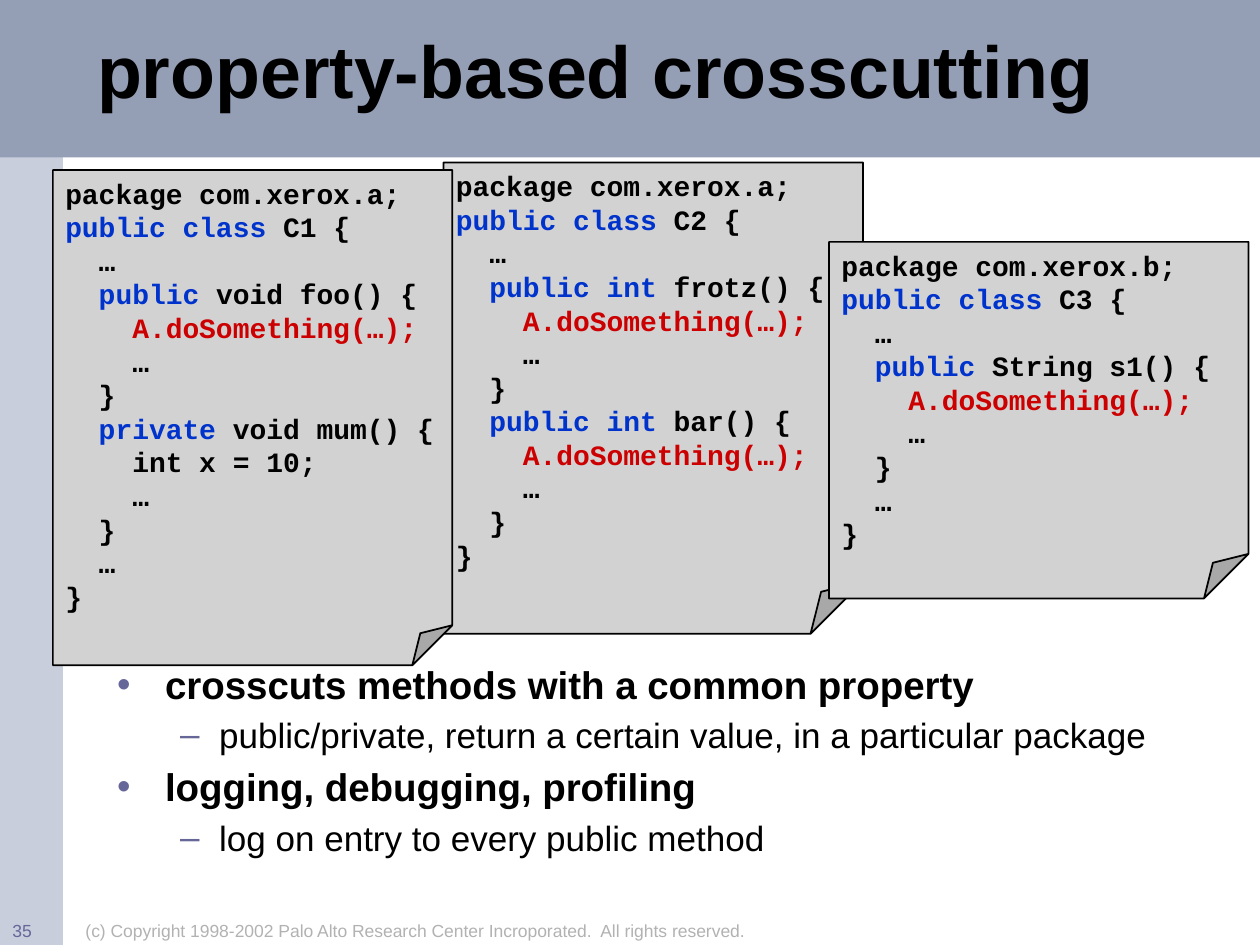
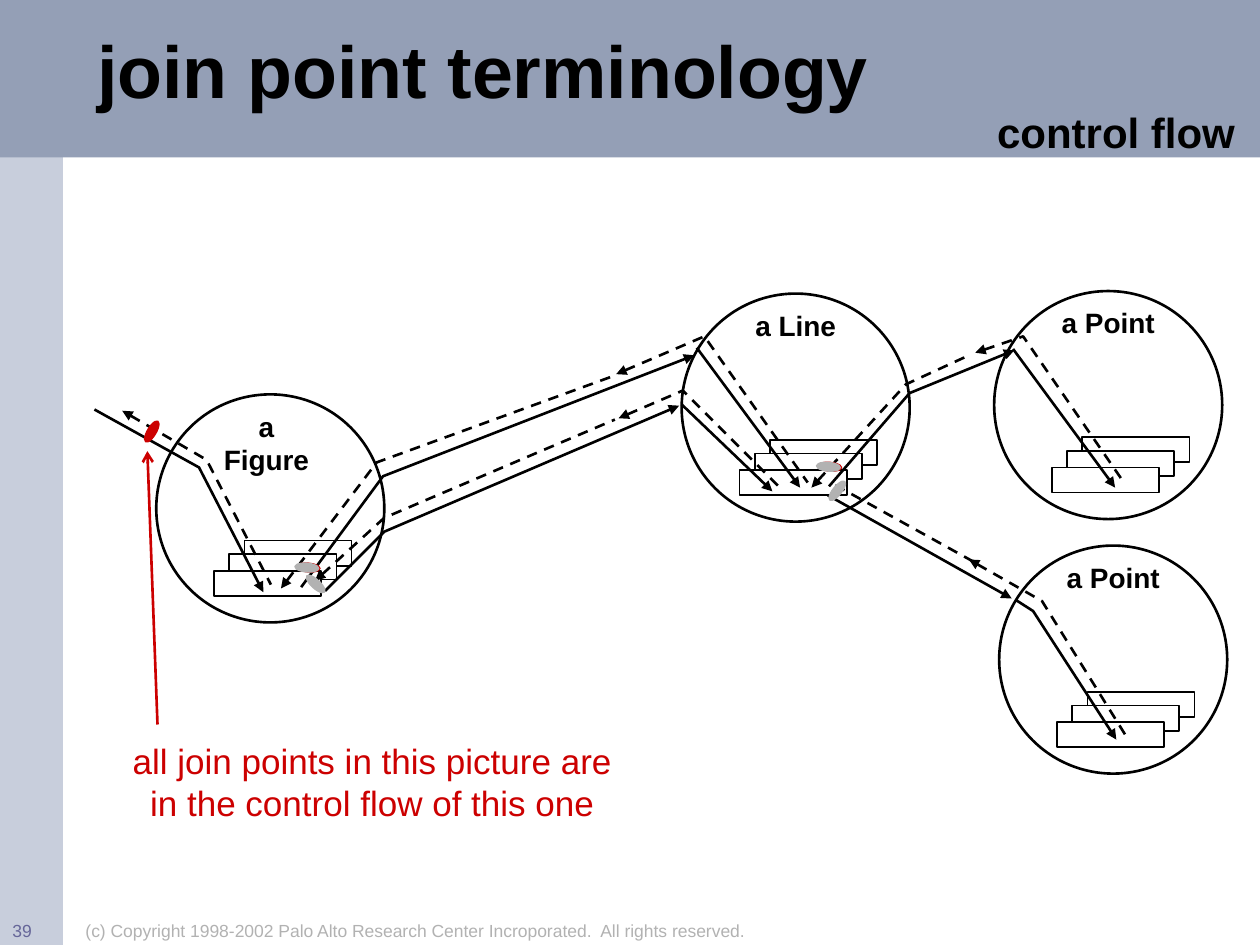
from lxml import etree
from pptx import Presentation
from pptx import util as u
from pptx.dml.color import RGBColor
from pptx.enum import dml, shapes, text
from pptx.oxml import ns

PX = 9144
BLACK = RGBColor(0x00, 0x00, 0x00)
WHITE = RGBColor(0xFF, 0xFF, 0xFF)
SIDE_BAND = RGBColor(0xC8, 0xCE, 0xDC)
TOP_BAND = RGBColor(0x94, 0x9F, 0xB6)
ACCENT = RGBColor(0x66, 0x66, 0x99)
MUTED = RGBColor(0xB2, 0xB2, 0xB2)
PAPER = RGBColor(0xD2, 0xD2, 0xD2)
BLUE = RGBColor(0x00, 0x33, 0xCC)
RED = RGBColor(0xCC, 0x00, 0x00)

COPYRIGHT = "(c) Copyright 1998-2002 Palo Alto Research Center Incroporated.  All rights reserved."
KEYWORDS = ("public class", "public int", "public", "private")
ADVICE_CALL = "A.doSomething(…);"
LEFT, CENTER, RIGHT = text.PP_ALIGN.LEFT, text.PP_ALIGN.CENTER, text.PP_ALIGN.RIGHT
RECT, OVAL = shapes.MSO_SHAPE.RECTANGLE, shapes.MSO_SHAPE.OVAL

CLASS_C1 = """package com.xerox.a;
public class C1 {
  …
  public void foo() {
    A.doSomething(…);
    …
  }
  private void mum() {
    int x = 10;
    …
  }
  …
}"""
CLASS_C2 = """package com.xerox.a;
public class C2 {
  …
  public int frotz() {
    A.doSomething(…);
    …
  }
  public int bar() {
    A.doSomething(…);
    …
  }
}"""
CLASS_C3 = """package com.xerox.b;
public class C3 {
  …
  public String s1() {
    A.doSomething(…);
    …
  }
  …
}"""
PROPERTIES = [
    (0, "crosscuts methods with a common property"),
    (1, "public/private, return a certain value, in a particular package"),
    (0, "logging, debugging, profiling"),
    (1, "log on entry to every public method"),
]

OBJECTS = [
    ("a Line", 541, 233, 99, 37),
    ("a Figure", 124, 313, 93, 64),
    ("a Point", 793, 433, 99, 37),
    ("a Point", 789, 231, 99, 37),
]
CALLS = [
    [(75, 325), (158, 371), (209, 470)],
    [(553, 276), (635, 387)],
    [(239, 466), (304, 378), (551, 282)],
    [(804, 277), (885, 387)],
    [(658, 386), (722, 312), (805, 278)],
    [(806, 476), (820, 485), (886, 587)],
    [(657, 393), (803, 475)],
    [(541, 321), (613, 390)],
    [(258, 469), (305, 422), (539, 322)],
]
RETURNS = [
    [(97, 326), (164, 365), (215, 464)],
    [(223, 467), (299, 367), (488, 298)],
    [(774, 280), (812, 267), (892, 383)],
    [(644, 387), (719, 305), (769, 282)],
    [(489, 297), (559, 267), (641, 383)],
    [(769, 444), (827, 477), (893, 583)],
    [(491, 332), (542, 310), (618, 386)],
    [(250, 461), (305, 411), (488, 333)],
]
RETURN_TAIL = [(663, 385), (773, 446)]
JOIN_POINTS = [
    (241, 441, 94.6, RED),
    (655, 361, 94.6, RED),
    (117, 333, 30.7, RED),
    (654, 361, 94.6, MUTED),
    (240, 441, 94.6, MUTED),
    (661, 380, 38.9, MUTED),
    (247, 454, 132.7, MUTED),
]


def px(*lengths):
    return [u.Emu(length * PX) for length in lengths]


def style(para, size, color=BLACK, bold=False, font="Arial"):
    for span in para.runs:
        span.font.name, span.font.size = font, u.Pt(size)
        span.font.bold, span.font.color.rgb = bold, color


def write(box, words, size, color=BLACK, bold=False, align=LEFT):
    frame = box.text_frame
    frame.word_wrap = True
    frame.vertical_anchor = text.MSO_ANCHOR.TOP
    frame.text = words
    para = frame.paragraphs[0]
    para.alignment = align
    style(para, size, color, bold)


def add_label(owner, area, words, size, **look):
    write(owner.add_textbox(*px(*area)), words, size, **look)


def add_block(owner, kind, area, fill=None, line=None, width=1):
    block = owner.add_shape(kind, *px(*area))
    block.shadow.inherit = False
    paint(block, fill, line, width)
    return block


def paint(block, fill, line, width):
    if fill is None:
        block.fill.background()
    else:
        block.fill.solid()
        block.fill.fore_color.rgb = fill
    if line is None:
        block.line.fill.background()
    else:
        block.line.color.rgb = line
        block.line.width = u.Pt(width)


def add_arrowhead(item, end, kind):
    outline = item.line._get_or_add_ln()
    etree.SubElement(outline, ns.qn(f"a:{end}"), type=kind)


def add_bands(deck, page):
    areas = [((0, 0, 50, 750), SIDE_BAND), ((0, 0, 1000, 125), TOP_BAND)]
    for index, (area, color) in enumerate(areas):
        band = add_block(page.shapes, RECT, area, color)
        band.element.nvSpPr.cNvPr.id = 100 + index
        deck.slide_master.shapes.element.insert(2 + index, band.element)


def add_page(deck, layout, heading, number):
    page = deck.slides.add_slide(deck.slide_layouts[layout])
    title = page.shapes.title
    title.left, title.top, title.width, title.height = px(67, 8, 833, 105)
    write(title, heading, 42, bold=True)
    title.text_frame.vertical_anchor = text.MSO_ANCHOR.MIDDLE
    title.text_frame.auto_size = text.MSO_AUTO_SIZE.NONE
    title.text_frame.paragraphs[0].line_spacing = 0.85
    add_label(page.shapes, (58, 725, 558, 25), COPYRIGHT, 10, color=MUTED)
    add_label(page.shapes, (0, 725, 50, 25), number, 10, color=ACCENT)
    return page


def set_bullet(para, mark, left, hang):
    props = para._p.get_or_add_pPr()
    props.set("marL", str(left * PX))
    props.set("indent", str(-hang * PX))
    color = etree.SubElement(props, ns.qn("a:buClr"))
    etree.SubElement(color, ns.qn("a:srgbClr"), val=str(ACCENT))
    etree.SubElement(props, ns.qn("a:buFont"), typeface="Arial")
    etree.SubElement(props, ns.qn("a:buChar"), char=mark)


def fill_list(body, area, items):
    body.left, body.top, body.width, body.height = px(*area)
    frame = body.text_frame
    frame.text = "\n".join(words for _, words in items)
    frame.auto_size = text.MSO_AUTO_SIZE.NONE
    looks = [("•", 38, 38, 22, True, 8.2), ("–", 81, 31, 20, False, 7.5)]
    for index, (para, (level, _)) in enumerate(zip(frame.paragraphs, items)):
        mark, left, hang, size, bold, gap = looks[level]
        para.level = level
        set_bullet(para, mark, left, hang)
        para.line_spacing = 0.85
        para.space_before = u.Pt(gap if index else 0)
        style(para, size, bold=bold)


def add_code_line(para, code):
    bare = code.lstrip()
    word = next((key for key in KEYWORDS if bare.startswith(key)), "")
    cut = len(code) - len(bare) + len(word) if word else 0
    for part in filter(None, (code[:cut], code[cut:])):
        para.add_run().text = part
    style(para, 16, RED if bare == ADVICE_CALL else BLACK, True, "Courier New")
    if word:
        para.runs[0].font.color.rgb = BLUE


def set_fold(note, fold):
    guides = next(note.element.iter(ns.qn("a:avLst")))
    etree.SubElement(guides, ns.qn("a:gd"), name="adj", fmla=f"val {round(fold * 100000)}")


def add_code_note(page, area, fold, source):
    note = add_block(page.shapes, shapes.MSO_SHAPE.FOLDED_CORNER, area, PAPER, BLACK)
    set_fold(note, fold)
    frame = note.text_frame
    frame.word_wrap = True
    frame.vertical_anchor = text.MSO_ANCHOR.TOP
    for index, code in enumerate(source.split("\n")):
        para = frame.add_paragraph() if index else frame.paragraphs[0]
        para.alignment = LEFT
        add_code_line(para, code)


def add_object(page, name, left, top, width, height):
    group = page.shapes.add_group_shape().shapes
    for dx, dy in ((70, 116), (58, 127), (46, 140)):
        add_block(group, RECT, (left + dx, top + dy, 85, 20), WHITE, BLACK)
    add_block(group, OVAL, (left, top, 181, 181), None, BLACK, 1.5)
    add_label(group, (left + 41, top + 7, width, height), name, 16, bold=True, align=CENTER)


def add_flow(page, points, end=None, dashed=False):
    builder = page.shapes.build_freeform(*points[0], scale=PX)
    builder.add_line_segments(points[1:], close=False)
    flow = builder.convert_to_shape()
    flow.shadow.inherit = False
    paint(flow, None, BLACK, 1.5)
    if dashed:
        flow.line.dash_style = dml.MSO_LINE.DASH
    if end:
        add_arrowhead(flow, end, "triangle")


def add_join_point(page, left, top, angle, color):
    mark = add_block(page.shapes, OVAL, (left, top, 7, 19), color, color, 0.75)
    mark.rotation = angle


def add_pointer(page, start, end):
    pointer = page.shapes.add_connector(shapes.MSO_CONNECTOR.STRAIGHT, *px(*start, *end))
    pointer.line.color.rgb = RED
    pointer.line.width = u.Pt(1.5)
    add_arrowhead(pointer, "tailEnd", "arrow")
    etree.SubElement(pointer.element.spPr, ns.qn("a:effectLst"))


def build_crosscutting(deck):
    page = add_page(deck, 1, "property-based crosscutting", "35")
    add_bands(deck, page)
    fill_list(page.placeholders[1], (83, 525, 917, 192), PROPERTIES)
    add_code_note(page, (352, 129, 333, 374), 0.125, CLASS_C2)
    add_code_note(page, (658, 192, 333, 283), 0.125, CLASS_C3)
    add_code_note(page, (42, 135, 317, 393), 0.1, CLASS_C1)


def build_control_flow(deck):
    page = add_page(deck, 5, "join point terminology", "39")
    for item in OBJECTS:
        add_object(page, *item)
    for points in CALLS:
        add_flow(page, points, "tailEnd")
    for points in RETURNS:
        add_flow(page, points, "headEnd", dashed=True)
    add_flow(page, RETURN_TAIL, dashed=True)
    for join_point in JOIN_POINTS:
        add_join_point(page, *join_point)
    add_label(page.shapes, (342, 80, 648, 50), "control flow", 24, bold=True, align=RIGHT)
    remark = add_block(page.shapes, RECT, (83, 582, 425, 77), WHITE)
    write(remark, "all join points in this picture are in the control flow of this one",
          20, RED, align=CENTER)
    add_pointer(page, (125, 575), (117, 358))


def main():
    deck = Presentation()
    deck.slide_width, deck.slide_height = px(1000, 750)
    build_crosscutting(deck)
    build_control_flow(deck)
    deck.save("out.pptx")


if __name__ == "__main__":
    main()
